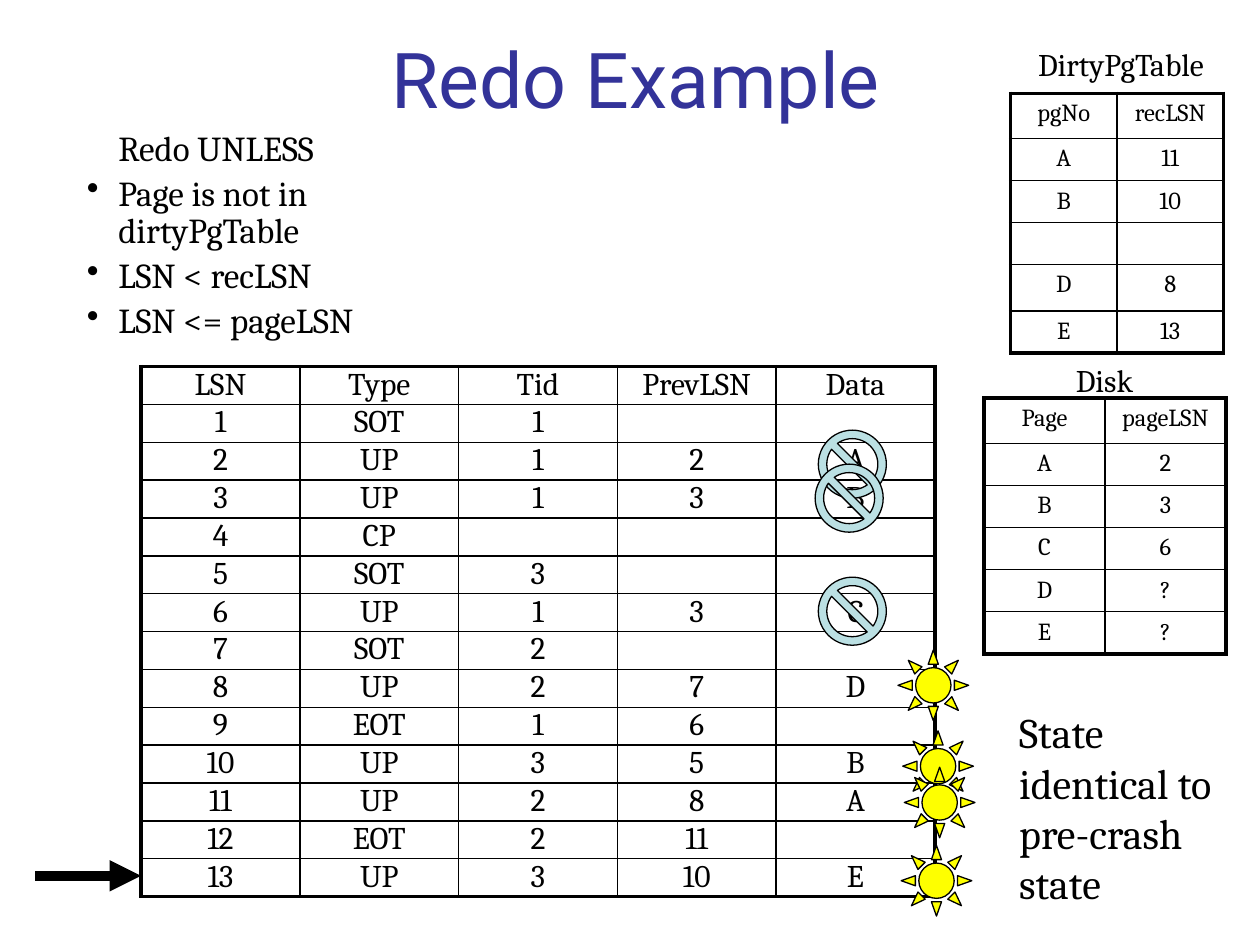
from collections import namedtuple

from lxml import etree
from pptx import Presentation
from pptx.dml.color import RGBColor
from pptx.enum.shapes import MSO_CONNECTOR, MSO_SHAPE
from pptx.enum.text import MSO_ANCHOR, PP_ALIGN
from pptx.oxml.ns import qn
from pptx.util import Inches, Pt

STRAIGHT = MSO_CONNECTOR.STRAIGHT
NO_SYMBOL, SUN = MSO_SHAPE.NO_SYMBOL, MSO_SHAPE.SUN
LEFT, CENTER = PP_ALIGN.LEFT, PP_ALIGN.CENTER
TOP, MIDDLE = MSO_ANCHOR.TOP, MSO_ANCHOR.MIDDLE

SLIDE_WIDTH, SLIDE_HEIGHT = Inches(10), Inches(7.5)
COLUMN, ROW = SLIDE_WIDTH / 100, SLIDE_HEIGHT / 75
SERIF, SANS = "Cambria", "Roboto"
BLACK, WHITE, NAVY, PALE_BLUE, YELLOW = "000000", "FFFFFF", "333399", "BBE0E3", "FEFF00"
THIN, THICK = Pt(1), Pt(2.25)

Box = namedtuple("Box", "left top width height")

LOG = [
    ("LSN", "Type", "Tid", "PrevLSN", "Data"),
    ("1", "SOT", "1", "", ""),
    ("2", "UP", "1", "2", "A"),
    ("3", "UP", "1", "3", "B"),
    ("4", "CP", "", "", ""),
    ("5", "SOT", "3", "", ""),
    ("6", "UP", "1", "3", "C"),
    ("7", "SOT", "2", "", ""),
    ("8", "UP", "2", "7", "D"),
    ("9", "EOT", "1", "6", ""),
    ("10", "UP", "3", "5", "B"),
    ("11", "UP", "2", "8", "A"),
    ("12", "EOT", "2", "11", ""),
    ("13", "UP", "3", "10", "E"),
]
SKIPPED = [(4.48, 2.58), (4.46, 3.48), (4.48, 6.47)]
REDONE = [(4.99, 8.43), (5.02, 10.57), (5.01, 13.6), (5.03, 11.53)]
DIRTY_PAGES = [("pgNo", "recLSN"), ("A", "11"), ("B", "10"), ("", ""), ("D", "8"), ("E", "13")]
DISK_PAGES = [("Page", "pageLSN"), ("A", "2"), ("B", "3"), ("C", "6"), ("D", "?"), ("E", "?")]
RULES = ["Redo UNLESS", "Page is not in dirtyPgTable", "LSN < recLSN", "LSN <= pageLSN"]


def color(value):
    return RGBColor.from_string(value)


def place(box):
    return (round(box.left * COLUMN), round(box.top * ROW),
            round(box.width * COLUMN), round(box.height * ROW))


def style(paragraph, size, font=SERIF, fill=BLACK, align=LEFT):
    paragraph.alignment = align
    paragraph.font.size = Pt(size)
    paragraph.font.name = font
    paragraph.font.color.rgb = color(fill)


def add_text(slide, box, text, size, font=SERIF, fill=BLACK, align=LEFT, anchor=TOP, wrap=True):
    frame = slide.shapes.add_textbox(*place(box)).text_frame
    frame.word_wrap = wrap
    frame.vertical_anchor = anchor
    frame.text = text
    for paragraph in frame.paragraphs:
        style(paragraph, size, font, fill, align)
    return frame


def add_border(cell, side, width):
    line = etree.SubElement(cell._tc.get_or_add_tcPr(), qn(f"a:ln{side}"), w=str(width))
    fill = etree.SubElement(line, qn("a:solidFill"))
    etree.SubElement(fill, qn("a:srgbClr"), val=BLACK)


def add_grid(slide, box, records, row_heights, size, margins, fill=None):
    row_count, column_count = len(records), len(records[0])
    table = slide.shapes.add_table(row_count, column_count, *place(box)).table
    table.first_row = table.horz_banding = False
    for column in table.columns:
        column.width = round(box.width * COLUMN / column_count)
    for row, height in zip(table.rows, row_heights):
        row.height = round(height * ROW)
    for row_index, record in enumerate(records):
        for column_index, text in enumerate(record):
            cell = table.cell(row_index, column_index)
            side_margin, edge_margin = margins
            cell.margin_left = cell.margin_right = Inches(side_margin)
            cell.margin_top = cell.margin_bottom = Inches(edge_margin if text else 0)
            cell.text = text
            style(cell.text_frame.paragraphs[0], size, align=CENTER)
            outer_sides = {
                "L": column_index == 0,
                "R": column_index == column_count - 1,
                "T": row_index == 0,
                "B": row_index == row_count - 1,
            }
            for side, outer in outer_sides.items():
                add_border(cell, side, THICK if outer else THIN)
            if fill:
                cell.fill.solid()
                cell.fill.fore_color.rgb = color(fill)
            else:
                cell.fill.background()


def add_mark(slide, kind, center_x, center_y, size, adjustment, fill):
    box = Box(center_x - size / 2, center_y - size / 2, size, size)
    shape = slide.shapes.add_shape(kind, *place(box))
    shape.adjustments[0] = adjustment
    shape.shadow.inherit = False
    shape.fill.solid()
    shape.fill.fore_color.rgb = color(fill)
    shape.line.color.rgb = color(BLACK)
    shape.line.width = Pt(0.75)


def add_arrow(slide, left, right, middle):
    start_x, end_x, y = round(left * COLUMN), round(right * COLUMN), round(middle * ROW)
    arrow = slide.shapes.add_connector(STRAIGHT, start_x, y, end_x, y)
    arrow.line.color.rgb = color(BLACK)
    arrow.line.width = Pt(6)
    etree.SubElement(arrow.line._get_or_add_ln(), qn("a:tailEnd"), type="triangle")
    etree.SubElement(arrow._element.spPr, qn("a:effectLst"))


def draw_title(slide, box):
    add_text(slide, box, "Redo Example", 44, SANS, NAVY, CENTER, MIDDLE)


def draw_rules(slide, box):
    frame = add_text(slide, box, "\n".join(RULES), 20)
    for index, paragraph in enumerate(frame.paragraphs):
        paragraph.line_spacing = 0.9
        properties = paragraph._p.get_or_add_pPr()
        properties.set("marL", str(Inches(1)))
        if index:
            paragraph.space_before = Pt(4)
            properties.set("indent", str(-Inches(0.25)))
            bullet = etree.Element(qn("a:buChar"), char="•")
            properties.find(qn("a:defRPr")).addprevious(bullet)


def draw_log(slide, box):
    cell_width, cell_height = box.width / len(LOG[0]), box.height / len(LOG)
    add_grid(slide, box, LOG, [cell_height] * len(LOG), 18, (0.05, 0))
    add_arrow(slide, box.left - cell_width * 2 / 3, box.left,
              box.top + cell_height * (len(LOG) - 0.53))
    marks = [(NO_SYMBOL, SKIPPED, 1.8, 0.125, PALE_BLUE), (SUN, REDONE, 1.87, 0.25, YELLOW)]
    for kind, centers, rows, adjustment, fill in marks:
        for column, row in centers:
            add_mark(slide, kind, box.left + column * cell_width,
                     box.top + row * cell_height, rows * cell_height, adjustment, fill)


def draw_page_panel(slide, box, label, label_left, label_width, table_top, records, row_heights):
    add_text(slide, Box(box.left + label_left, box.top, label_width, 4), label, 18, wrap=False)
    grid = Box(box.left, box.top + table_top, box.width, box.height - table_top)
    add_grid(slide, grid, records, row_heights, 14, (0.1, 0.05), WHITE)


def draw_conclusion(slide, box):
    add_text(slide, box, "State identical to pre-crash state", 24)


def main():
    presentation = Presentation()
    presentation.slide_width, presentation.slide_height = SLIDE_WIDTH, SLIDE_HEIGHT
    slide = presentation.slides.add_slide(presentation.slide_layouts[6])
    draw_title(slide, Box(4.2, 0.8, 92.5, 10.8))
    draw_rules(slide, Box(-1.6, 9.9, 33.2, 15.2))
    draw_page_panel(slide, Box(80.2, 3.1, 16.9, 24.8), "DirtyPgTable", 1.2, 15.6, 4.3,
                    DIRTY_PAGES, [3.6, 3.3, 3.3, 3.3, 3.7, 3.3])
    draw_page_panel(slide, Box(78.1, 28.2, 19.2, 23.7), "Disk", 6.3, 6.7, 3.4,
                    DISK_PAGES, [3.6] + [3.34] * 5)
    draw_log(slide, Box(11.2, 29.1, 63, 42))
    draw_conclusion(slide, Box(79.9, 55.6, 17.5, 17))
    presentation.save("out.pptx")


if __name__ == "__main__":
    main()
